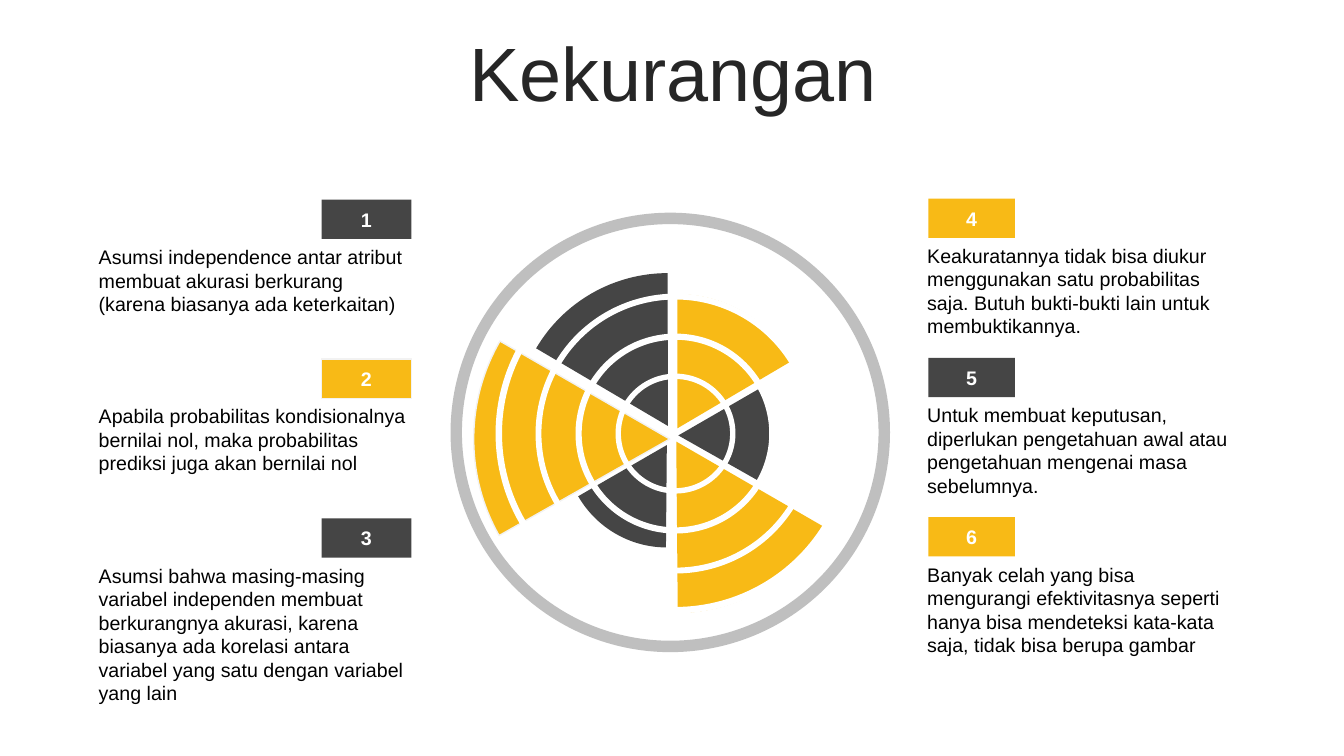
from pptx import Presentation
from pptx.dml.color import RGBColor
from pptx.enum.shapes import MSO_SHAPE
from pptx.enum.text import MSO_ANCHOR, MSO_AUTO_SIZE, PP_ALIGN
from pptx.util import Pt

DARK = RGBColor(0x45, 0x45, 0x45)
YELLOW = RGBColor(0xF8, 0xBA, 0x16)
GREY = RGBColor(0xBF, 0xBF, 0xBF)
PALE = RGBColor(0xF2, 0xF2, 0xF2)
WHITE = RGBColor(0xFF, 0xFF, 0xFF)
BLACK = RGBColor(0, 0, 0)
TITLE_COLOR = RGBColor(0x26, 0x26, 0x26)
RECT, PIE, DONUT = MSO_SHAPE.RECTANGLE, MSO_SHAPE.PIE, MSO_SHAPE.DONUT
LEFT, CENTER = PP_ALIGN.LEFT, PP_ALIGN.CENTER
TOP, MIDDLE = MSO_ANCHOR.TOP, MSO_ANCHOR.MIDDLE
FIT_SHAPE = MSO_AUTO_SIZE.SHAPE_TO_FIT_TEXT

TITLE = "Kekurangan"
# text, number of lines, badge colour, badge outline
LEFT_ITEMS = [
    ("Asumsi independence antar atribut membuat akurasi berkurang "
     "(karena biasanya ada keterkaitan)", 3, DARK, None),
    ("Apabila probabilitas kondisionalnya bernilai nol, maka probabilitas "
     "prediksi juga akan bernilai nol", 3, YELLOW, PALE),
    ("Asumsi bahwa masing-masing variabel independen membuat berkurangnya "
     "akurasi, karena biasanya ada korelasi antara variabel yang satu dengan "
     "variabel yang lain", 6, DARK, None),
]
RIGHT_ITEMS = [
    ("Keakuratannya tidak bisa diukur menggunakan satu probabilitas saja. "
     "Butuh bukti-bukti lain untuk membuktikannya.", 4, YELLOW, None),
    ("Untuk membuat keputusan, diperlukan pengetahuan awal atau pengetahuan "
     "mengenai masa sebelumnya.", 4, DARK, None),
    ("Banyak celah yang bisa mengurangi efektivitasnya seperti hanya bisa "
     "mendeteksi kata-kata saja, tidak bisa berupa gambar", 4, YELLOW, None),
]
# items, first number, text left, badge left, badge width, first badge top
COLUMNS = [
    (LEFT_ITEMS, 1, 63.4, 229.7, 64.1, 142.6),
    (RIGHT_ITEMS, 4, 655.2, 663.1, 61.9, 141.8),
]
ROW_STEP, BADGE_H, TEXT_DROP, TEXT_W = 113.8, 28.1, 28.8, 238.3
LINE_H, TEXT_INSETS = 16.9, 7.2

# centre x, centre y, width, height, rotation, mirrored, colour, outline
WEDGES = [
    (477, 304.2, 218.2, 218.2, 0, False, DARK, None),
    (478.4, 313.6, 280, 280, 300, False, YELLOW, PALE),
    (476.3, 317.9, 146.2, 146.2, 240, False, DARK, None),
    (483.8, 306, 190, 191.5, 0, True, YELLOW, None),
    (484.6, 311, 136.8, 136.8, 60, True, DARK, None),
    (483.1, 315.4, 244.8, 244.8, 120, True, YELLOW, None),
]
WEDGE_ANGLES = (126.3, 162)
RING_CENTER = (482.5, 309.7)
RING_FIRST, RING_STEP = 85.7, 57.1
RING_THICKNESS = [0.045, 0.031, 0.021, 0.018]


def add_shape(slide, kind, x, y, w, h, fill, line=None, adjust=()):
    sp = slide.shapes.add_shape(kind, Pt(x), Pt(y), Pt(w), Pt(h))
    sp.shadow.inherit = False
    sp.fill.solid()
    sp.fill.fore_color.rgb = fill
    if line is None:
        sp.line.fill.background()
    else:
        sp.line.color.rgb = line
        sp.line.width = Pt(1)
    for i, value in enumerate(adjust):
        sp.adjustments[i] = value
    return sp


def add_centered(slide, kind, cx, cy, w, h, fill, **options):
    return add_shape(slide, kind, cx - w / 2, cy - h / 2, w, h, fill, **options)


def add_box(slide, x, y, w, h):
    return slide.shapes.add_textbox(Pt(x), Pt(y), Pt(w), Pt(h))


def write(sp, text, size=14, color=BLACK, bold=False, align=LEFT, anchor=TOP):
    tf = sp.text_frame
    tf.word_wrap = True
    tf.vertical_anchor = anchor
    p = tf.paragraphs[0]
    p.alignment = align
    r = p.add_run()
    r.text = text
    r.font.name = "Arial"
    r.font.size = Pt(size)
    r.font.bold = bold
    r.font.color.rgb = color
    return tf


def add_wheel(slide):
    add_centered(slide, DONUT, 478.8, 308.9, 313.9, 313.9, GREY, adjust=[0.026])
    for cx, cy, w, h, rotation, mirrored, color, line in WEDGES:
        sp = add_centered(slide, PIE, cx, cy, w, h, color, line=line,
                          adjust=WEDGE_ANGLES)
        sp.rotation = rotation
        if mirrored:
            sp._element.spPr.xfrm.set("flipH", "1")
    for i, thickness in enumerate(RING_THICKNESS):
        d = RING_FIRST + i * RING_STEP
        add_centered(slide, DONUT, *RING_CENTER, d, d, WHITE, adjust=[thickness])


def add_column(slide, items, first, text_x, badge_x, badge_w, top):
    for i, (text, lines, color, line) in enumerate(items):
        y = top + i * ROW_STEP
        badge = add_shape(slide, RECT, badge_x, y, badge_w, BADGE_H, color, line)
        write(badge, str(first + i), color=WHITE, bold=True, align=CENTER,
              anchor=MIDDLE)
        box = add_box(slide, text_x, y + TEXT_DROP, TEXT_W,
                      lines * LINE_H + TEXT_INSETS)
        write(box, text).auto_size = FIT_SHAPE


def main():
    prs = Presentation()
    prs.slide_width, prs.slide_height = Pt(960), Pt(540)
    slide = prs.slides.add_slide(prs.slide_layouts[6])

    title = add_box(slide, 25.2, 26.6, 911.5, 56.9)
    tf = write(title, TITLE, size=54, color=TITLE_COLOR, align=CENTER,
               anchor=MIDDLE)
    tf.paragraphs[0].line_spacing = 0.9
    tf.paragraphs[0].space_before = Pt(10)

    add_wheel(slide)
    for column in COLUMNS:
        add_column(slide, *column)
    prs.save("out.pptx")


if __name__ == "__main__":
    main()
